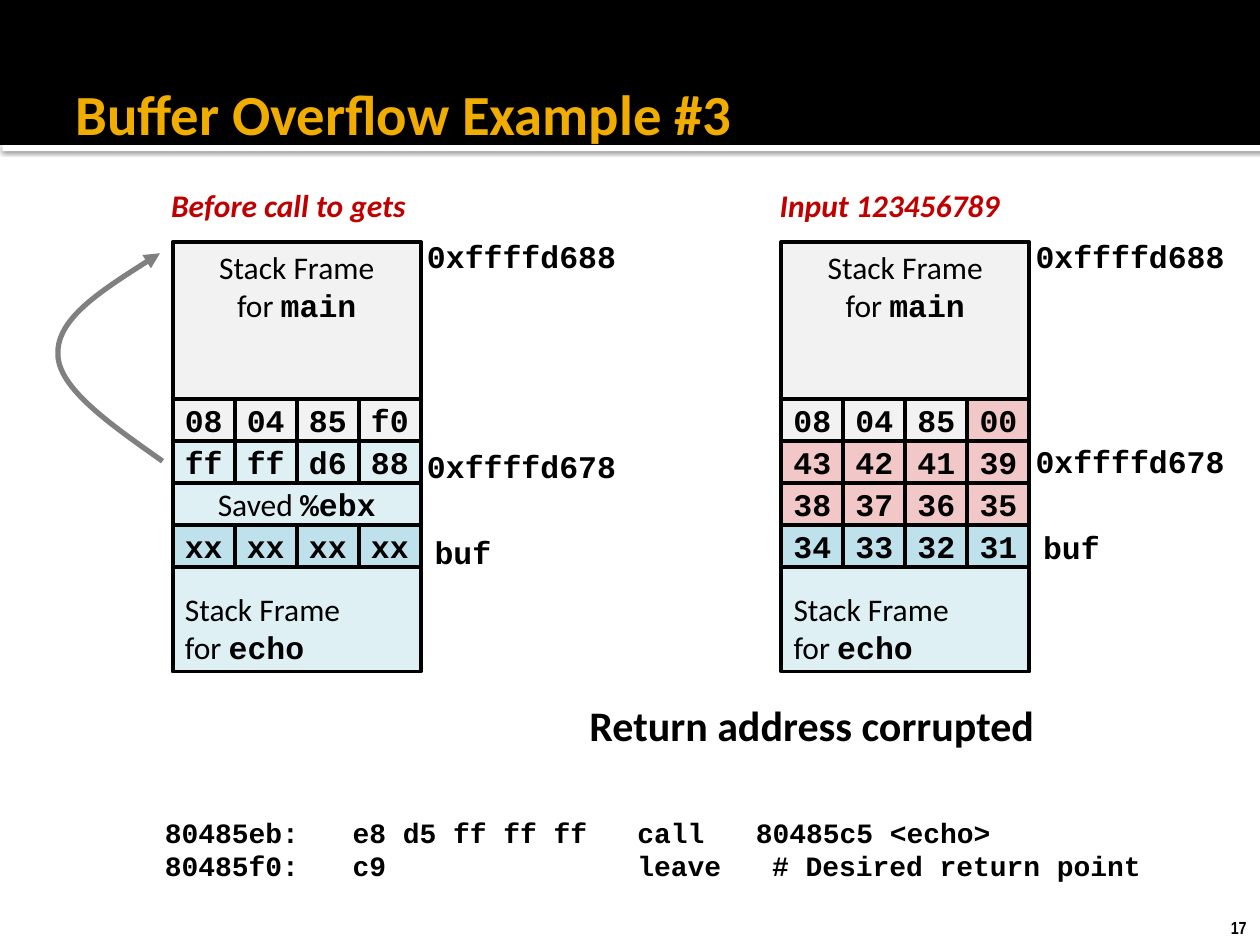
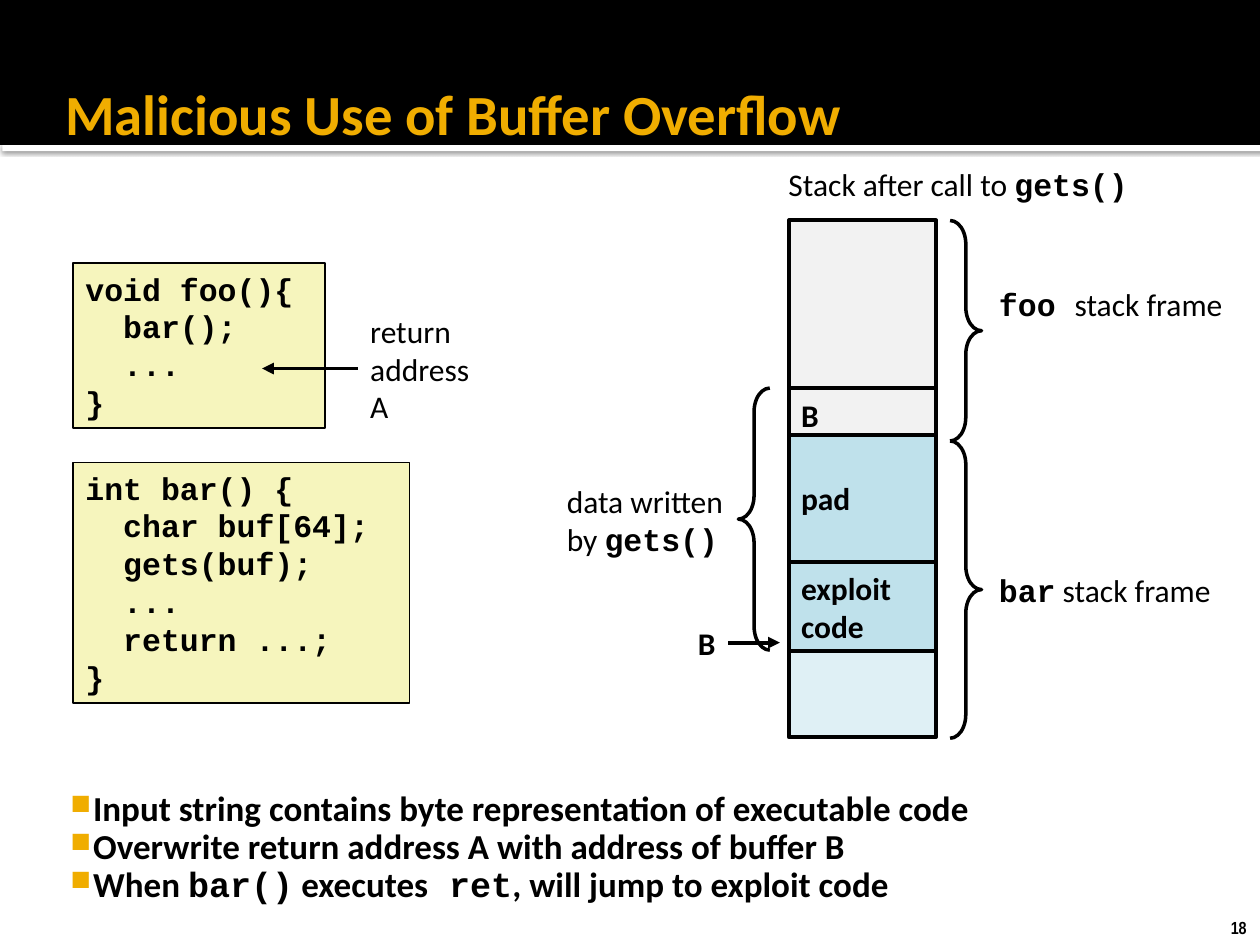
from dataclasses import dataclass
from itertools import accumulate

from lxml import etree
from pptx import Presentation
from pptx import util as u
from pptx.dml.color import RGBColor
from pptx.enum import shapes as es
from pptx.enum import text as et
from pptx.oxml.ns import qn


@dataclass(frozen=True)
class Theme:
    black: str = "000000"
    white: str = "FFFFFF"
    gold: str = "F0AD00"
    red: str = "C00000"
    grey: str = "808080"
    caller: str = "F2F2F2"
    callee: str = "DFF0F5"
    buffer: str = "BFE1EB"
    overwritten: str = "F1C7C7"
    listing: str = "F6F5BD"
    sans: str = "Calibri"
    mono: str = "Courier New"
    narrow: str = "Arial Narrow"


T = Theme()
STYLES = {
    "title": (T.sans, 32.4, True, False, T.gold),
    "number": (T.narrow, 10, True, False, T.black),
    "body": (T.sans, 18, False, False, T.black),
    "strong": (T.sans, 18, True, False, T.black),
    "code": (T.mono, 18, True, False, T.black),
    "heading": (T.sans, 18, True, True, T.red),
    "verdict": (T.sans, 24, True, False, T.black),
    "assembly": (T.mono, 16, True, False, T.black),
    "point": (T.sans, 20, True, False, T.black),
    "point code": (T.mono, 20, True, False, T.black),
}
WIDTH, HEIGHT, BAND = 10, 7.5, 1.15
PAD = (0.1, 0.05, 0.1, 0.05)
CENTER, MIDDLE, BOTTOM = et.PP_ALIGN.CENTER, et.MSO_ANCHOR.MIDDLE, et.MSO_ANCHOR.BOTTOM

FRAME_WIDTH, BYTE_HEIGHT, FRAME_TOP, BYTES_TOP, ECHO_BOTTOM = 1.97, 0.333, 1.92, 3.17, 5.33
STACKS = [
    {"left": 1.37, "heading": "Before call to gets", "heading width": 2.09, "label top": 3.5,
     "rows": [("08 04 85 f0", [T.caller] * 4),
              ("ff ff d6 88", [T.callee] * 4),
              ([("Saved ", "body"), ("%ebx", "code")], T.callee),
              ("xx xx xx xx", [T.buffer] * 4)]},
    {"left": 6.2, "heading": "Input 123456789", "heading width": 2.03, "label top": 3.46,
     "rows": [("08 04 85 00", [T.caller] * 3 + [T.overwritten]),
              ("43 42 41 39", [T.overwritten] * 4),
              ("38 37 36 35", [T.overwritten] * 4),
              ("34 33 32 31", [T.buffer] * 4)]},
]
SAVED_POINTER = [(1.29, 3.66), (0.88, 3.37), (0.46, 3.08), (0.46, 2.81),
                 (0.45, 2.53), (0.86, 2.27), (1.27, 2.01)]
ASSEMBLY = [
    ("80485eb:\te8 d5 ff ff ff\tcall\t80485c5 <echo>", (1.49, 3.75, 4.69)),
    ("80485f0:\tc9\tleave\t# Desired return point", (1.49, 3.75, 4.82)),
]

LISTINGS = [
    ((0.58, 3.67, 2.67, 1.91),
     [(0, "int bar() {"), (1, "char buf[64];"), (1, "gets(buf);"),
      (1, "..."), (1, "return ...;"), (0, "}")]),
    ((0.58, 2.09, 2, 1.31),
     [(0, "void foo(){"), (1, "bar();"), (1, "..."), (0, "}")]),
]
CODE_INDENT = 0.3
EXPLOIT_LEFT, EXPLOIT_WIDTH = 6.26, 1.17
EXPLOIT_STACK = [
    (3.08, 3.5, T.caller, ["B"]),
    (1.75, 3.08, T.caller, []),
    (5.17, 5.85, T.callee, []),
    (4.46, 5.17, T.buffer, ["exploit", "code"]),
    (3.45, 4.46, T.buffer, ["pad"]),
]
BRACES = [
    (es.MSO_SHAPE.RIGHT_BRACE, 7.54, 1.75, 3.5),
    (es.MSO_SHAPE.RIGHT_BRACE, 7.54, 3.5, 5.86),
    (es.MSO_SHAPE.LEFT_BRACE, 5.86, 3.08, 5.16),
]
EXPLOIT_LABELS = [
    ((6.16, 1.26, 2.93, 0.4), [[("Stack after call to ", "body"), ("gets()", "code")]]),
    ((7.83, 2.21, 1.99, 0.4), [[("foo ", "code"), ("stack frame", "body")]]),
    ((7.83, 4.48, 1.9, 0.4), [[("bar", "code"), (" stack frame", "body")]]),
    ((4.4, 3.77, 1.5, 0.71),
     [[("data written", "body")], [("by ", "body"), ("gets()", "code")]]),
]
ARROWS = [
    ((2.84, 2.42, 1, 1.01), ["return", "address", "A"], "body", 1, 2.08),
    ((5.44, 4.9, 0.34, 0.4), ["B"], "strong", 3, 6.19),
]
POINTS = [
    [("Input string contains byte representation of executable code", "point")],
    [("Overwrite return address A with address of buffer B", "point")],
    [("When ", "point"), ("bar()", "point code"), (" executes", "point"),
     (" ret", "point code"), (", will jump to exploit code", "point")],
]


def rgb(color):
    return RGBColor.from_string(color)


def lines(texts, style):
    return [[(line, style)] for line in texts]


def sub(parent, tag, **attributes):
    return etree.SubElement(parent, qn(tag), {k: str(v) for k, v in attributes.items()})


def write(shape, paragraphs, align=None, anchor=et.MSO_ANCHOR.TOP, insets=PAD, wrap=True):
    frame = shape.text_frame
    frame.word_wrap = wrap
    frame.vertical_anchor = anchor
    (frame.margin_left, frame.margin_top,
     frame.margin_right, frame.margin_bottom) = map(u.Inches, insets)
    for i, runs in enumerate(paragraphs):
        paragraph = frame.add_paragraph() if i else frame.paragraphs[0]
        paragraph.alignment = align or et.PP_ALIGN.LEFT
        for words, style in runs:
            run = paragraph.add_run()
            run.text = words
            font = run.font
            font.name, size, font.bold, font.italic, color = STYLES[style]
            font.size = u.Pt(size)
            font.color.rgb = rgb(color)
    return frame.paragraphs


def label(slide, box, paragraphs, **options):
    shape = slide.shapes.add_textbox(*map(u.Inches, box))
    write(shape, paragraphs, **{"wrap": False, **options})
    return shape


def block(slide, box, fill=None, line=T.black, weight=2.25, kind=es.MSO_SHAPE.RECTANGLE):
    shape = slide.shapes.add_shape(kind, *map(u.Inches, box))
    shape.shadow.inherit = False
    if fill:
        shape.fill.solid()
        shape.fill.fore_color.rgb = rgb(fill)
    else:
        shape.fill.background()
    if line:
        shape.line.color.rgb = rgb(line)
        shape.line.width = u.Pt(weight)
    else:
        shape.line.fill.background()
    return shape


def arrowhead(shape, color, weight):
    shape.line.color.rgb = rgb(color)
    shape.line.width = u.Pt(weight)
    sub(shape.line._get_or_add_ln(), "a:tailEnd", type="triangle")


def base_slide(deck, title, title_box, number):
    slide = deck.slides.add_slide(deck.slide_layouts[6])
    rule = block(slide, (0.02, BAND, WIDTH, 0.05), T.white, None)
    effects = rule._element.spPr.find(qn("a:effectLst"))
    shadow = sub(effects, "a:outerShdw", blurRad=u.Pt(2.5), dist=u.Pt(0.8),
                 dir=90 * 60000, algn="tl", rotWithShape=0)
    sub(sub(shadow, "a:srgbClr", val=T.black), "a:alpha", val=60000)
    block(slide, (0, 0, WIDTH, BAND), T.black, None)
    label(slide, (9.67, 7.23, 0.34, 0.27), [[(str(number), "number")]])
    label(slide, title_box, [[(title, "title")]], anchor=MIDDLE,
          insets=(0.1, 0.05, 0.05, 0.05), wrap=True)
    return slide


def draw_stack(slide, stack):
    left, top = stack["left"], BYTES_TOP
    echo_top = BYTES_TOP + 2 * BYTE_HEIGHT
    write(block(slide, (left, echo_top, FRAME_WIDTH, ECHO_BOTTOM - echo_top), T.callee),
          [[("Stack Frame", "body")], [("for ", "body"), ("echo", "code")]], anchor=BOTTOM)
    write(block(slide, (left, FRAME_TOP, FRAME_WIDTH, BYTES_TOP - FRAME_TOP), T.caller),
          [[("Stack Frame", "body")], [("for ", "body"), ("main", "code")]], CENTER)
    for content, fills in stack["rows"]:
        if isinstance(content, str):
            cells = [([(byte, "code")], fill) for byte, fill in zip(content.split(), fills)]
        else:
            cells = [(content, fills)]
        width = FRAME_WIDTH / len(cells)
        for column, (runs, fill) in enumerate(cells):
            cell = block(slide, (left + column * width, top, width, BYTE_HEIGHT), fill)
            write(cell, [runs], CENTER, MIDDLE, (0, 0, 0, 0))
        top += BYTE_HEIGHT
    label(slide, (left - 0.11, 1.43, stack["heading width"], 0.4),
          [[(stack["heading"], "heading")]])
    low = stack["label top"]
    for words, dx, y, width in [("0xffffd688", 1.92, 1.83, 1.71),
                                ("0xffffd678", 1.92, low, 1.71),
                                ("buf", 1.98, low + 0.68, 0.65)]:
        label(slide, (left + dx, y, width, 0.4), [[(words, "code")]])


def draw_curve(slide, points):
    start, *rest = [(u.Inches(x), u.Inches(y)) for x, y in points]
    builder = slide.shapes.build_freeform(*start)
    builder.add_line_segments(rest, close=False)
    curve = builder.convert_to_shape()
    curve.shadow.inherit = False
    curve.fill.background()
    arrowhead(curve, T.grey, 3)
    outline = next(curve._element.iter(qn("a:path")))
    segments = outline.findall(qn("a:lnTo"))
    for first in range(0, len(segments), 3):
        bezier = sub(outline, "a:cubicBezTo")
        for segment in segments[first:first + 3]:
            bezier.append(segment[0])
            outline.remove(segment)


def overflow_slide(deck):
    slide = base_slide(deck, "Buffer Overflow Example #3", (0.5, 0.58, 8.54, 0.63), 17)
    for stack in STACKS:
        draw_stack(slide, stack)
    draw_curve(slide, SAVED_POINTER)
    label(slide, (4.58, 5.5, 3.77, 0.51), [[("Return address corrupted", "verdict")]])
    assembly = label(slide, (1.21, 6.42, 8.62, 0.64),
                     lines([line for line, _ in ASSEMBLY], "assembly"), wrap=True)
    for paragraph, (_, stops) in zip(assembly.text_frame.paragraphs, ASSEMBLY):
        tabs = sub(paragraph._p.get_or_add_pPr(), "a:tabLst")
        for stop in stops:
            sub(tabs, "a:tab", pos=u.Inches(stop), algn="l")


def exploit_slide(deck):
    slide = base_slide(deck, "Malicious Use of Buffer Overflow", (0.42, 0.58, 9.08, 0.63), 18)
    for box, code in LISTINGS:
        listing = block(slide, box, T.listing, weight=1)
        for paragraph, (level, _) in zip(write(listing, lines([c for _, c in code], "code")), code):
            paragraph._p.get_or_add_pPr().set("marL", str(u.Inches(level * CODE_INDENT)))
    for top, bottom, fill, words in EXPLOIT_STACK:
        part = block(slide, (EXPLOIT_LEFT, top, EXPLOIT_WIDTH, bottom - top), fill)
        if words:
            write(part, lines(words, "strong"), anchor=MIDDLE)
    for kind, left, top, bottom in BRACES:
        brace = block(slide, (left, top, 0.25, bottom - top), weight=2, kind=kind)
        brace.adjustments[0] = 0.75
    for box, paragraphs in EXPLOIT_LABELS:
        label(slide, box, paragraphs, anchor=MIDDLE)
    for box, words, style, side, tip in ARROWS:
        source = label(slide, box, lines(words, style), anchor=MIDDLE)
        y = u.Inches(box[1] + box[3] / 2)
        arrow = slide.shapes.add_connector(es.MSO_CONNECTOR.STRAIGHT, source.left, y,
                                           u.Inches(tip), y)
        arrow.begin_connect(source, side)
        arrowhead(arrow, T.black, 2.25)
        sub(arrow._element.spPr, "a:effectLst")
    points = label(slide, (0.5, 6.08, 9.03, 1.25), POINTS, anchor=MIDDLE,
                   insets=(0.06, 0.1, 0.1, 0.05), wrap=True)
    for paragraph in points.text_frame.paragraphs:
        paragraph.line_spacing = 0.9
        properties = paragraph._p.get_or_add_pPr()
        properties.set("marL", str(u.Inches(0.18)))
        properties.set("indent", str(-u.Inches(0.18)))
        sub(sub(properties, "a:buClr"), "a:srgbClr", val=T.gold)
        sub(properties, "a:buSzPct", val=80000)
        sub(properties, "a:buChar", char="■")


def main():
    deck = Presentation()
    deck.slide_width, deck.slide_height = u.Inches(WIDTH), u.Inches(HEIGHT)
    overflow_slide(deck)
    exploit_slide(deck)
    deck.save("out.pptx")


if __name__ == "__main__":
    main()
